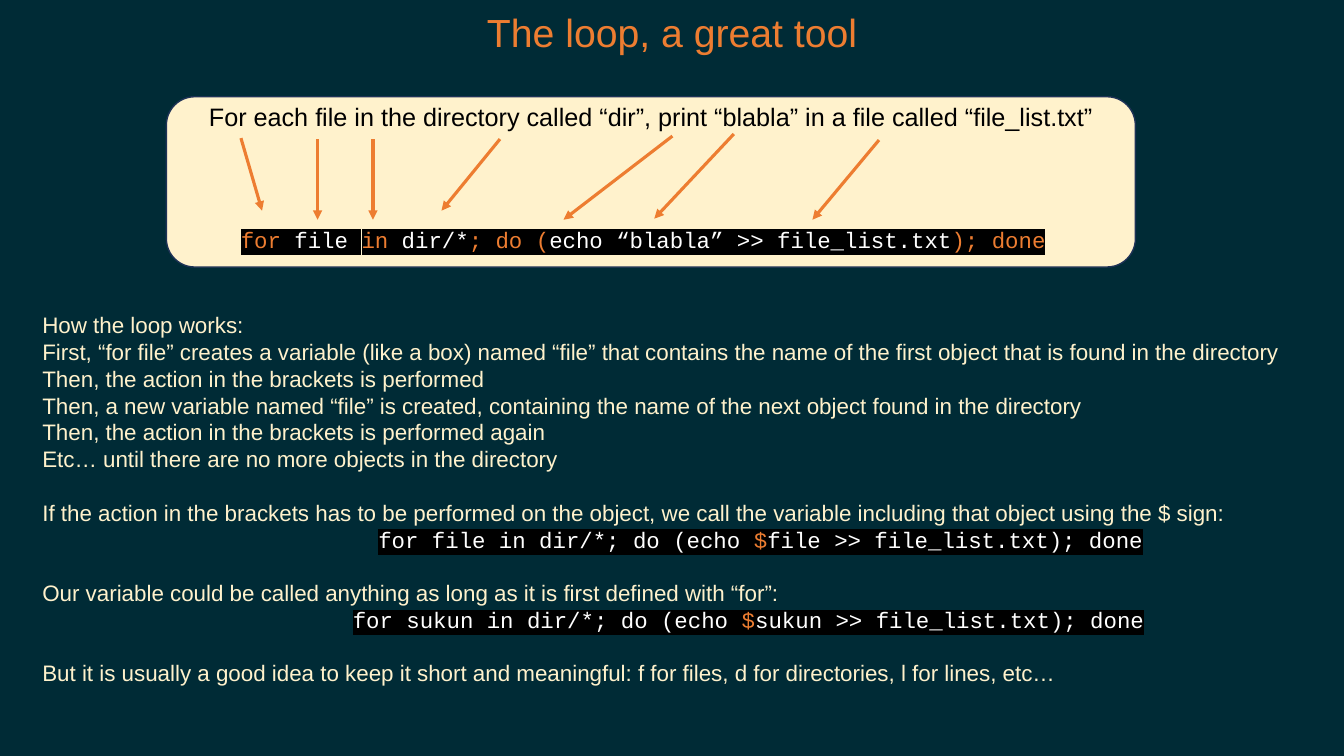
"""Build a slide that explains the shell for loop."""
from lxml.etree import SubElement
from pptx import Presentation
from pptx.dml.color import RGBColor
from pptx.enum.shapes import MSO_CONNECTOR, MSO_SHAPE
from pptx.enum.text import MSO_ANCHOR, MSO_AUTO_SIZE, PP_ALIGN
from pptx.oxml.ns import qn
from pptx.util import Inches, Pt

COLORS = {
    "night": "002B36", "cream": "FFF2CC", "edge": "1E3256",
    "orange": "ED7D31", "white": "FFFFFF", "black": "000000",
}
STYLES = {
    "title": ("Arial", 28, "orange", None),
    "caption": ("Arial", 18, "black", None),
    "prose": ("Arial", 16, "cream", None),
    "code": ("Courier New", 16, "white", "black"),
    "key": ("Courier New", 16, "orange", "black"),
}

TITLE = [("The loop, a great tool", "title")]
CAPTION = [("For each file in the directory called “dir”, print “blabla” in a file called “file_list.txt”", "caption")]
LOOP = [
    ("for ", "key"), ("file ", "code"), ("in", "key"), (" dir/*", "code"),
    ("; do (", "key"), ("echo “blabla” >> file_list.txt", "code"), ("); done", "key"),
]
SECTIONS = [
    [
        "How the loop works:",
        "First, “for file” creates a variable (like a box) named “file” that contains the name of the first object that is found in the directory",
        "Then, the action in the brackets is performed",
        "Then, a new variable named “file” is created, containing the name of the next object found in the directory",
        "Then, the action in the brackets is performed again",
        "Etc… until there are no more objects in the directory",
    ],
    [
        "If the action in the brackets has to be performed on the object, we call the variable including that object using the $ sign:",
        (25, "for file in dir/*; do (echo ", "file >> file_list.txt); done"),
    ],
    [
        "Our variable could be called anything as long as it is first defined with “for”:",
        (23.1, "for sukun in dir/*; do (echo ", "sukun >> file_list.txt); done"),
    ],
    ["But it is usually a good idea to keep it short and meaningful: f for files, d for directories, l for lines, etc…"],
]

# Percent of the slide's width and height
AREAS = {
    "title": (0, 0.4, 100, 7.6),
    "card": (12.38, 12.8, 72.1, 22.53),
    "caption": (12.38, 12.8, 72.1, 5.33),
    "loop": (17.18, 29.2, 62.5, 4.93),
    "body": (2.4, 40.53, 95.2, 51.6),
}
ARROWS = [
    (17.93, 18.27, 19.5, 27.87), (23.63, 18.4, 23.63, 29.07),
    (27.75, 18.4, 27.75, 29.07), (37.2, 18.4, 32.85, 27.87),
    (50.03, 18, 41.93, 29.07), (54.6, 17.73, 48.68, 28.93),
    (65.4, 18.53, 60.45, 29.07),
]
LINE = Pt(19.15)

deck = Presentation()
deck.slide_width, deck.slide_height = Inches(13.33), Inches(7.5)
page = deck.slides.add_slide(deck.slide_layouts[1])


def color(name):
    return RGBColor.from_string(COLORS[name])


def place(percents):
    sides = (deck.slide_width, deck.slide_height) * 2
    return [int(side * share / 100) for side, share in zip(sides, percents)]


def move(box, area):
    box.left, box.top, box.width, box.height = place(AREAS[area])
    frame = box.text_frame
    frame.word_wrap = True
    frame.auto_size = MSO_AUTO_SIZE.NONE
    frame.vertical_anchor = MSO_ANCHOR.TOP
    return frame


def write(para, spans):
    for text, style in spans:
        face, size, ink, marker = STYLES[style]
        span = para.add_run()
        span.text = text
        span.font.name, span.font.size = face, Pt(size)
        span.font.color.rgb = color(ink)
        if marker:
            properties = span.font.fill._xPr
            highlight = SubElement(properties, qn("a:highlight"))
            SubElement(highlight, qn("a:srgbClr"), val=COLORS[marker])
            properties.find(qn("a:solidFill")).addnext(highlight)


def add_card():
    card = page.shapes.add_shape(MSO_SHAPE.ROUNDED_RECTANGLE, *place(AREAS["card"]))
    card.shadow.inherit = False
    card.fill.solid()
    card.fill.fore_color.rgb = color("cream")
    card.line.color.rgb = color("edge")
    card.line.width = Pt(1)


def add_arrow(ends):
    arrow = page.shapes.add_connector(MSO_CONNECTOR.STRAIGHT, *place(ends))
    arrow.line.color.rgb = color("orange")
    arrow.line.width = Pt(2.25)
    SubElement(arrow.line._get_or_add_ln(), qn("a:tailEnd"), type="triangle")
    SubElement(arrow._element.spPr, qn("a:effectLst"))


def add_label(area, spans, align):
    frame = move(page.shapes.add_textbox(0, 0, 0, 0), area)
    frame.paragraphs[0].alignment = align
    write(frame.paragraphs[0], spans)


def fill_body():
    frame = move(page.placeholders[1], "body")
    para = frame.paragraphs[0]
    for section_index, section in enumerate(SECTIONS):
        for line_index, line in enumerate(section):
            if section_index or line_index:
                para = frame.add_paragraph()
            indent, spans = 0, [(line, "prose")]
            if isinstance(line, tuple):
                share, before, after = line
                indent = place((share, 0))[0]
                spans = [(before, "code"), ("$", "key"), (after, "code")]
            properties = para._p.get_or_add_pPr()
            properties.set("marL", str(indent))
            properties.set("indent", "0")
            SubElement(properties, qn("a:buNone"))
            para.line_spacing = LINE
            para.space_before = LINE if section_index and not line_index else Pt(0)
            write(para, spans)


page.background.fill.solid()
page.background.fill.fore_color.rgb = color("night")
heading = move(page.shapes.title, "title").paragraphs[0]
heading.alignment = PP_ALIGN.CENTER
write(heading, TITLE)
add_card()
add_label("caption", CAPTION, PP_ALIGN.CENTER)
for ends in ARROWS:
    add_arrow(ends)
add_label("loop", LOOP, PP_ALIGN.LEFT)
fill_body()
deck.save("out.pptx")
